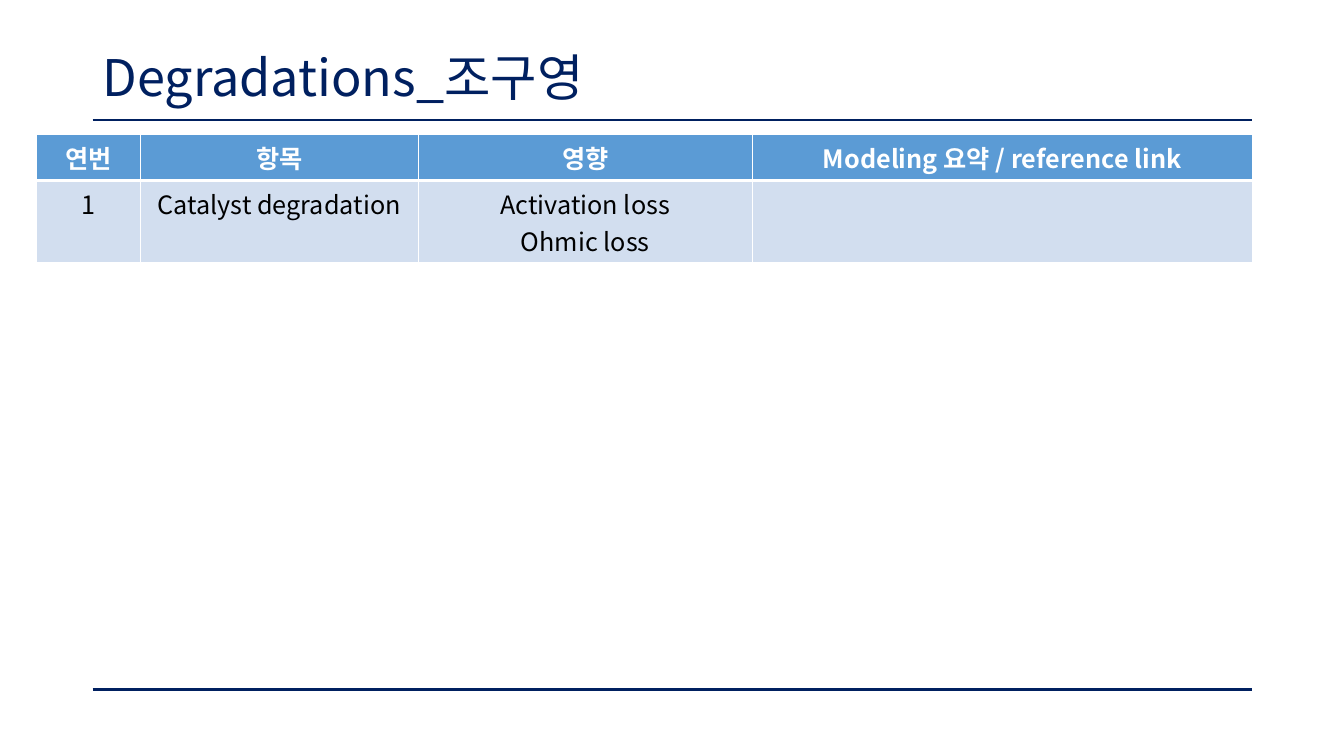
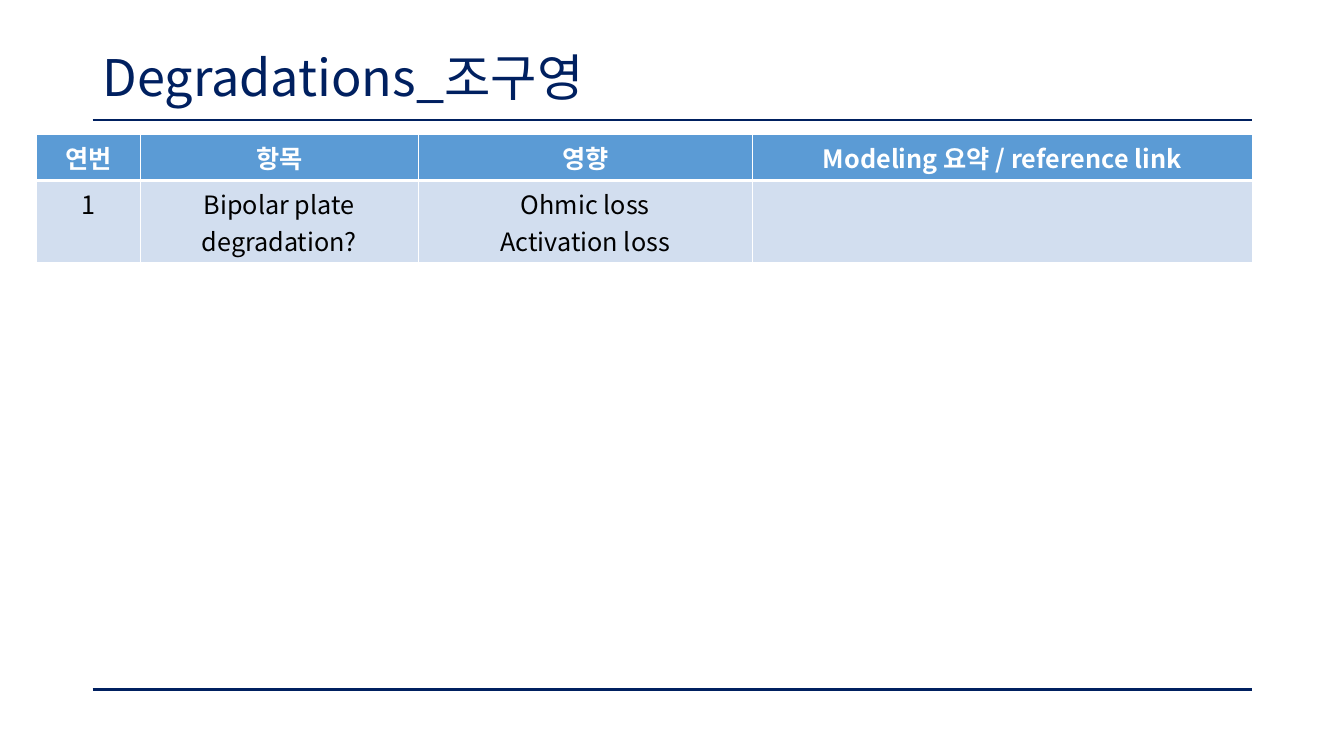
from dataclasses import dataclass

from lxml import etree
from pptx import Presentation
from pptx.dml.color import RGBColor
from pptx.enum.shapes import MSO_CONNECTOR
from pptx.enum.text import MSO_ANCHOR, PP_ALIGN
from pptx.oxml.ns import qn
from pptx.util import Inches, Pt

STRAIGHT = MSO_CONNECTOR.STRAIGHT
MIDDLE = MSO_ANCHOR.MIDDLE
CENTER = PP_ALIGN.CENTER


@dataclass(frozen=True)
class Theme:
    font: str = "Noto Sans CJK KR"
    navy: str = "002060"
    header: str = "5B9BD5"
    body: str = "D2DEEF"
    white: str = "FFFFFF"
    black: str = "000000"
    title_size: int = 36
    table_size: int = 18
    rule_width: int = 2
    border_width: int = 1
    header_border_width: int = 3


theme = Theme()


def add_span(para, text, size, color, bold=False):
    span = para.add_run()
    span.text = text
    span.font.name = theme.font
    span.font.size = Pt(size)
    span.font.bold = bold
    span.font.color.rgb = RGBColor.from_string(color)
    east_asian = etree.SubElement(span.font._element, qn("a:ea"))
    east_asian.set("typeface", theme.font)


def add_borders(cell, widths):
    properties = cell._tc.get_or_add_tcPr()
    for index, (side, width) in enumerate(widths.items()):
        border = etree.Element(qn(f"a:ln{side}"), w=str(Pt(width)))
        fill = etree.SubElement(border, qn("a:solidFill"))
        etree.SubElement(fill, qn("a:srgbClr"), val=theme.white)
        properties.insert(index, border)


TITLE = "Degradations_조구영"
HEADINGS = [["연번"], ["항목"], ["영향"], ["Modeling 요약 / reference link"]]
ENTRIES = [
    [["1"], ["Catalyst degradation"], ["Activation loss", "Ohmic loss"], []],
    [["1"], ["Bipolar plate degradation?"], ["Ohmic loss", "Activation loss"], []],
]
COLUMN_WIDTHS = [1.03, 2.76, 3.31, 4.96]
ROW_HEIGHTS = [0.46, 0.82]
LEFT, RIGHT = 0.92, 12.42
RULE_TOPS = [1.19, 6.84]

thin, thick = theme.border_width, theme.header_border_width
ROW_STYLES = [
    (theme.header, theme.white, True, {"L": thin, "R": thin, "T": thin, "B": thick}),
    (theme.body, theme.black, False, {"L": thin, "R": thin, "T": thick, "B": thin}),
]

deck = Presentation()
deck.slide_width = Inches(13.33)
deck.slide_height = Inches(7.5)
blank = deck.slide_layouts[6]

for entry in ENTRIES:
    page = deck.slides.add_slide(blank)

    for top in RULE_TOPS:
        rule = page.shapes.add_connector(
            STRAIGHT, Inches(LEFT), Inches(top), Inches(RIGHT), Inches(top)
        )
        rule.line.color.rgb = RGBColor.from_string(theme.navy)
        rule.line.width = Pt(theme.rule_width)
        etree.SubElement(rule._element.spPr, qn("a:effectLst"))

    box = page.shapes.add_textbox(
        Inches(LEFT), Inches(0.4), Inches(RIGHT - LEFT), Inches(0.79)
    )
    box.text_frame.word_wrap = True
    box.text_frame.vertical_anchor = MIDDLE
    para = box.text_frame.paragraphs[0]
    para.line_spacing = 0.9
    add_span(para, TITLE, theme.title_size, theme.navy)

    frame = page.shapes.add_table(
        len(ROW_HEIGHTS), len(COLUMN_WIDTHS), Inches(0.36), Inches(1.33),
        Inches(sum(COLUMN_WIDTHS)), Inches(sum(ROW_HEIGHTS)),
    )
    table = frame.table
    for column, width in zip(table.columns, COLUMN_WIDTHS):
        column.width = Inches(width)

    for row, height, contents, style in zip(
        table.rows, ROW_HEIGHTS, [HEADINGS, entry], ROW_STYLES
    ):
        row.height = Inches(height)
        fill, color, bold, borders = style
        for cell, lines in zip(row.cells, contents):
            cell.fill.solid()
            cell.fill.fore_color.rgb = RGBColor.from_string(fill)
            add_borders(cell, borders)
            for index, line in enumerate(lines):
                text_frame = cell.text_frame
                para = text_frame.add_paragraph() if index else text_frame.paragraphs[0]
                para.alignment = CENTER
                add_span(para, line, theme.table_size, color, bold)

deck.save("out.pptx")
